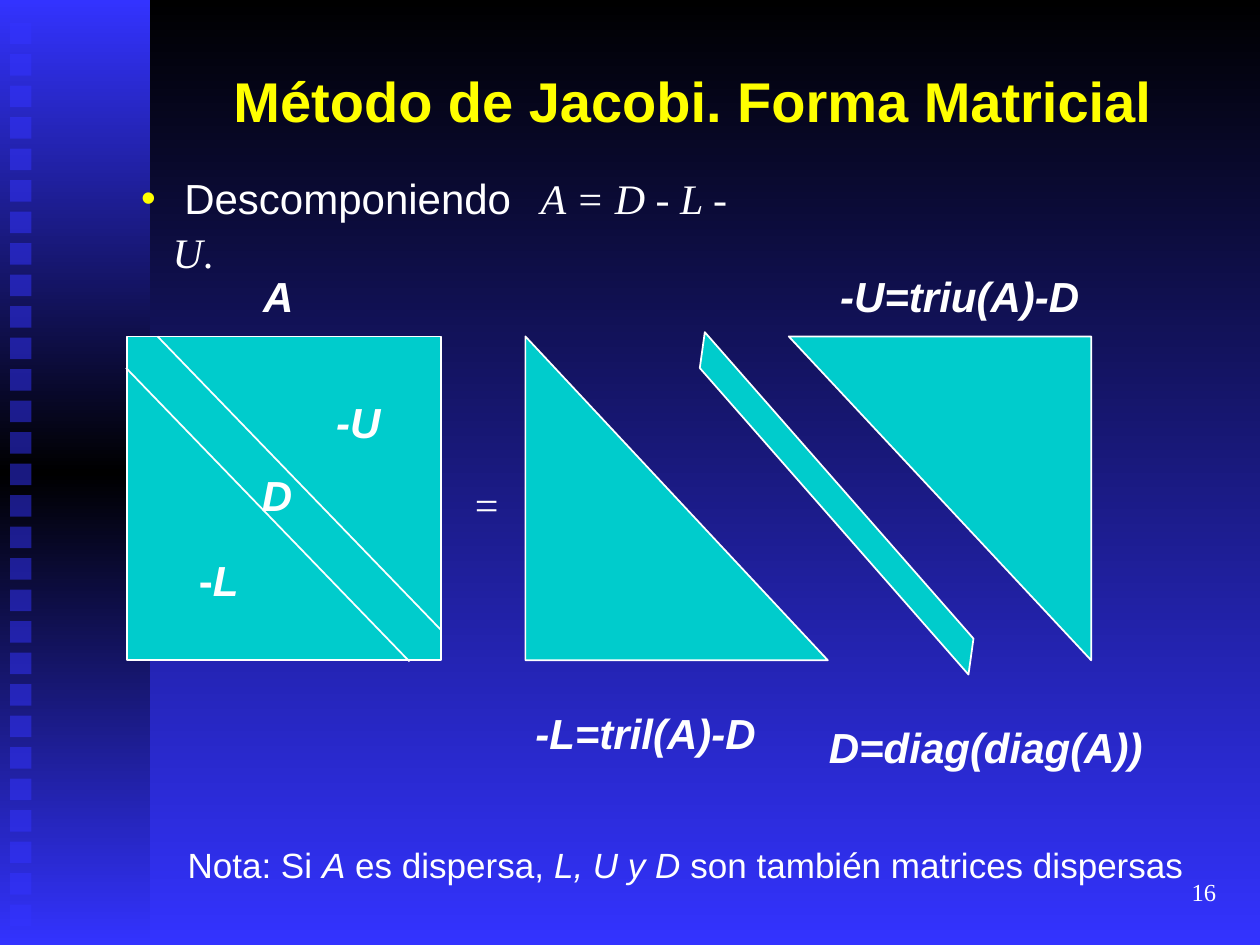
from lxml import etree
from pptx import Presentation
from pptx.dml.color import RGBColor
from pptx.enum.shapes import MSO_CONNECTOR, MSO_SHAPE
from pptx.enum.text import MSO_ANCHOR, MSO_AUTO_SIZE, PP_ALIGN
from pptx.oxml.ns import qn
from pptx.util import Inches, Pt

RECTANGLE = MSO_SHAPE.RECTANGLE
TRIANGLE = MSO_SHAPE.RIGHT_TRIANGLE
PARALLELOGRAM = MSO_SHAPE.PARALLELOGRAM
STRAIGHT = MSO_CONNECTOR.STRAIGHT
TOP, MIDDLE = MSO_ANCHOR.TOP, MSO_ANCHOR.MIDDLE
LEFT, CENTER, RIGHT = PP_ALIGN.LEFT, PP_ALIGN.CENTER, PP_ALIGN.RIGHT
NO_FIT = MSO_AUTO_SIZE.NONE

WHITE, YELLOW, BLUE, BLACK, TEAL = "FFFFFF", "FFFF00", "3333FF", "000000", "00CCCC"
SANS, SERIF = "Arial", "Times New Roman"
PLAIN = {"size": Pt(24), "name": SANS, "bold": False, "italic": False}
ITALIC = {**PLAIN, "italic": True}
BOLD = {**PLAIN, "bold": True}
MATRIX = {**BOLD, "italic": True}
TITLE = {**BOLD, "size": Pt(32)}
FORMULA = {**ITALIC, "name": SERIF}
SERIF_PLAIN = {**PLAIN, "name": SERIF}
NOTE = {**PLAIN, "size": Pt(20)}
NOTE_ITALIC = {**NOTE, "italic": True}
PAGE_NUMBER = {**SERIF_PLAIN, "size": Pt(14)}


def color(value):
    return RGBColor.from_string(value)


def set_values(target, values):
    for key, value in values.items():
        setattr(target, key, value)


def set_gradient(fill, owner, stops):
    fill.gradient()
    fill.gradient_angle = 270
    stop_list = next(owner.iter(qn("a:gsLst")))
    for old_stop in list(stop_list):
        stop_list.remove(old_stop)
    for percent, value in stops:
        stop = etree.SubElement(stop_list, qn("a:gs"), pos=str(percent * 1000))
        etree.SubElement(stop, qn("a:srgbClr"), val=value)


def place(shape, box):
    names = ("left", "top", "width", "height")
    set_values(shape, dict(zip(names, map(Inches, box))))


def write_runs(shape, runs, text_color=WHITE, align=LEFT, anchor=TOP, wrap=False):
    frame = shape.text_frame
    set_values(frame, {"word_wrap": wrap, "auto_size": NO_FIT, "vertical_anchor": anchor})
    paragraph = frame.paragraphs[0]
    set_values(paragraph, {"alignment": align, "space_before": Pt(0)})
    for text, style in runs:
        run = paragraph.add_run()
        run.text = text
        set_values(run.font, style)
        run.font.color.rgb = color(text_color)
    return paragraph


def add_label(slide, box, *runs, **layout):
    label = slide.shapes.add_textbox(*map(Inches, box))
    return write_runs(label, runs, **layout)


def add_block(slide, preset, box, fill_color=TEAL, outlined=True, rotation=0):
    block = slide.shapes.add_shape(preset, *map(Inches, box))
    block.shadow.inherit = False
    block.rotation = rotation
    block.fill.solid()
    block.fill.fore_color.rgb = color(fill_color)
    if outlined:
        block.line.color.rgb = color(WHITE)
        block.line.width = Pt(1)
    else:
        block.line.fill.background()
    return block


def add_band_edge(slide, start, end):
    edge = slide.shapes.add_connector(STRAIGHT, *map(Inches, start + end))
    edge.line.color.rgb = color(WHITE)
    edge.line.width = Pt(1)
    etree.SubElement(edge.element.spPr, qn("a:effectLst"))


def add_sidebar(slide):
    sidebar = add_block(slide, RECTANGLE, (0, 0, 1.19, 7.5), outlined=False)
    set_gradient(sidebar.fill, sidebar.element, [(0, BLUE), (50, BLACK), (100, BLUE)])
    for row in range(29):
        square = add_block(slide, RECTANGLE, (0.08, 0.18 + 0.25 * row, 0.17, 0.17), BLUE, False)
        tint = next(square.element.iter(qn("a:srgbClr")))
        etree.SubElement(tint, qn("a:alpha"), val="50000")


def bring_to_front(shape):
    shape.element.getparent().append(shape.element)


def add_statement(slide):
    statement = slide.placeholders[1]
    bring_to_front(statement)
    place(statement, (1.02, 1.29, 5.18, 0.5))
    paragraph = write_runs(
        statement,
        [(" Descomponiendo\t", PLAIN), ("A = D - L - U", FORMULA), (".", SERIF_PLAIN)],
        wrap=True,
    )
    paragraph.line_spacing = 1.07
    properties = paragraph._p.get_or_add_pPr()
    set_indent = {"marL": Inches(0.25), "indent": -Inches(0.25)}
    for key, value in set_indent.items():
        properties.set(key, str(value))
    bullet_color = etree.SubElement(properties, qn("a:buClr"))
    etree.SubElement(bullet_color, qn("a:srgbClr"), val=YELLOW)
    etree.SubElement(properties, qn("a:buChar"), char="•")
    tabs = etree.SubElement(properties, qn("a:tabLst"))
    etree.SubElement(tabs, qn("a:tab"), pos=str(Inches(3.17)), algn="l")


def add_title(slide):
    title = slide.shapes.title
    bring_to_front(title)
    place(title, (1.25, 0.17, 8.5, 1.25))
    heading = [("Método de Jacobi. Forma Matricial", TITLE)]
    write_runs(title, heading, YELLOW, CENTER, MIDDLE, True)


def add_matrices(slide):
    add_block(slide, RECTANGLE, (1.01, 2.67, 2.49, 2.57))
    add_block(slide, TRIANGLE, (4.17, 2.67, 2.4, 2.57))
    add_block(slide, TRIANGLE, (6.26, 2.67, 2.4, 2.57), rotation=180)
    diagonal = add_block(slide, PARALLELOGRAM, (5.44, 2.77, 2.4, 2.45), rotation=98)
    diagonal.adjustments[0] = 0.88
    add_band_edge(slide, (1.25, 2.67), (3.5, 5))
    add_band_edge(slide, (1, 2.92), (3.25, 5.25))


def add_matrix_labels(slide):
    labels = [
        ("-L=tril(A)-D", (4.15, 5.54, 1.95, 0.5)),
        ("A", (1.99, 2.07, 0.44, 0.5)),
        ("-U", (2.57, 3.07, 0.55, 0.5)),
        ("D", (1.98, 3.65, 0.44, 0.5)),
        ("-U=triu(A)-D", (6.57, 2.07, 2.1, 0.5)),
        ("D=diag(diag(A))", (6.48, 5.65, 2.69, 0.5)),
    ]
    for text, box in labels:
        add_label(slide, box, (text, MATRIX)).line_spacing = 1.07
    lower = add_label(slide, (1.48, 4.32, 0.52, 0.5), ("-", BOLD), ("L", MATRIX))
    lower.line_spacing = 1.07
    add_label(slide, (3.67, 3.75, 0.4, 0.5), ("=", SERIF_PLAIN))


def add_footer(slide):
    note = add_label(
        slide, (1.39, 6.62, 8.11, 0.43),
        ("Nota: Si ", NOTE), ("A", NOTE_ITALIC), (" es dispersa, ", NOTE),
        ("L, U y D", NOTE_ITALIC), (" son también matrices dispersas", NOTE),
    )
    note.line_spacing = 1.07
    add_label(slide, (7.67, 6.83, 2.08, 0.5), ("16", PAGE_NUMBER),
              align=RIGHT, anchor=MIDDLE, wrap=True)


def main():
    presentation = Presentation()
    presentation.slide_width, presentation.slide_height = Inches(10), Inches(7.5)
    slide = presentation.slides.add_slide(presentation.slide_layouts[1])
    set_gradient(slide.background.fill, slide.element, [(0, BLACK), (100, BLUE)])
    add_sidebar(slide)
    add_statement(slide)
    add_title(slide)
    add_matrices(slide)
    add_matrix_labels(slide)
    add_footer(slide)
    presentation.save("out.pptx")


if __name__ == "__main__":
    main()
